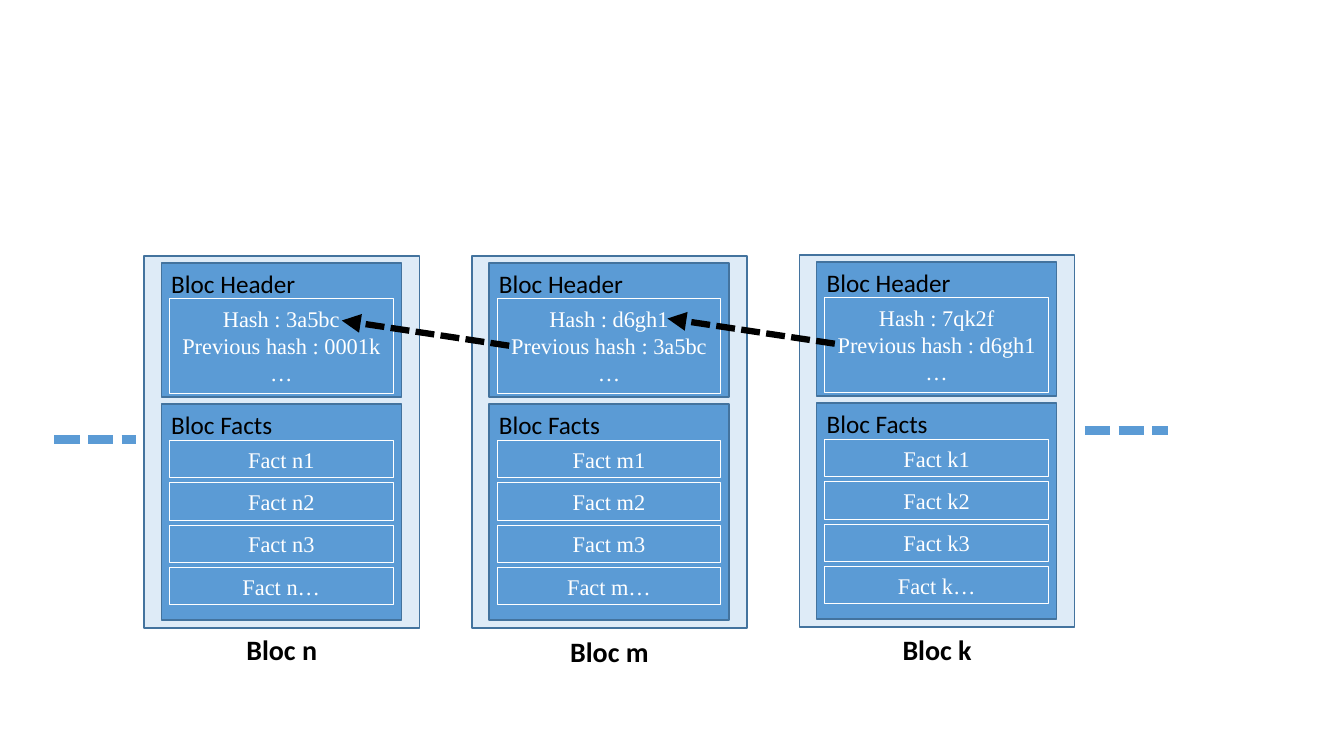
"""Build a slide of three chained blocks, each pointing to the hash of the one before."""
from pptx import Presentation
from pptx.dml.color import RGBColor
from pptx.enum.dml import MSO_LINE
from pptx.enum.shapes import MSO_CONNECTOR, MSO_SHAPE
from pptx.enum.text import MSO_ANCHOR, PP_ALIGN
from pptx.oxml.ns import qn
from pptx.util import Inches, Pt
from lxml.etree import SubElement

BLOCKS = [
    {"name": "n", "hash": "3a5bc", "previous": "0001k", "top": 2.54, "label_top": 6.23},
    {"name": "m", "hash": "d6gh1", "previous": "3a5bc", "top": 2.54, "label_top": 6.25},
    {"name": "k", "hash": "7qk2f", "previous": "d6gh1", "top": 2.53, "label_top": 6.23},
]
FACTS = ["1", "2", "3", "…"]

THEME = {
    "outer": {"fill": "DEEBF7", "line": "43739E", "weight": 1},
    "panel": {"fill": "5B9BD5", "line": "43739E", "weight": 1},
    "field": {"fill": None, "line": "FFFFFF", "weight": 0.75},
    "field_text": {"name": "Times New Roman", "size": Pt(16), "color": "FFFFFF"},
    "heading": {"name": "Calibri", "size": Pt(18), "color": "000000"},
    "label": {"name": "Calibri", "size": Pt(20), "bold": True, "color": "000000"},
    "chain": {"color": "5B9BD5", "weight": 6},
    "arrow": {"color": "000000", "weight": 4.5},
}

LEFT, PITCH = 1.43, 3.25
BLOCK_W, BLOCK_H = 2.73, 3.69
PANEL_X, PANEL_W = 0.17, 2.38
FIELD_X, FIELD_W = 0.25, 2.22
PANELS = [("Bloc Facts", 1.47, 2.14), ("Bloc Header", 0.07, 1.33)]
HASH_Y, HASH_H = 0.42, 0.94
FACT_Y, FACT_H, FACT_PITCH = 1.83, 0.37, 0.42
CHAINS = [((0.54, 4.36), (1.35, 4.36)), ((10.76, 4.27), (11.58, 4.27))]
ARROW_FROM, ARROW_TO = (5.05, 3.43), (3.39, 3.18)
ARROW_STEP = (3.23, -0.02)


def write(sp, lines, font, align, anchor):
    tf = sp.text_frame
    tf.word_wrap, tf.vertical_anchor = True, anchor
    for i, line in enumerate(lines):
        p = tf.paragraphs[0] if i == 0 else tf.add_paragraph()
        p.alignment = align
        r = p.add_run()
        r.text = line
        for key, value in font.items():
            if key == "color":
                r.font.color.rgb = RGBColor.from_string(value)
            else:
                setattr(r.font, key, value)


def add_box(s, at, style, lines=()):
    sp = s.shapes.add_shape(MSO_SHAPE.RECTANGLE, *map(Inches, at))
    sp.shadow.inherit = False
    if style["fill"]:
        sp.fill.solid()
        sp.fill.fore_color.rgb = RGBColor.from_string(style["fill"])
    else:
        sp.fill.background()
    sp.line.color.rgb = RGBColor.from_string(style["line"])
    sp.line.width = Pt(style["weight"])
    write(sp, lines, THEME["field_text"], PP_ALIGN.CENTER, MSO_ANCHOR.MIDDLE)


def add_text(s, at, text, font, align):
    sp = s.shapes.add_textbox(*map(Inches, at))
    write(sp, [text], font, align, MSO_ANCHOR.TOP)


def add_dots(s, start, end, style, arrow=False):
    sp = s.shapes.add_connector(MSO_CONNECTOR.STRAIGHT, *map(Inches, start + end))
    sp.line.color.rgb = RGBColor.from_string(style["color"])
    sp.line.width = Pt(style["weight"])
    sp.line.dash_style = MSO_LINE.SQUARE_DOT
    if arrow:
        SubElement(sp.line._get_or_add_ln(), qn("a:tailEnd"), type="triangle")
    SubElement(sp._element.spPr, qn("a:effectLst"))


def add_block(s, block, left):
    top, name = block["top"], block["name"]
    add_box(s, (left, top, BLOCK_W, BLOCK_H), THEME["outer"])
    for heading, y, height in PANELS:
        add_box(s, (left + PANEL_X, top + y, PANEL_W, height), THEME["panel"])
        add_text(s, (left + PANEL_X, top + y, PANEL_W, 0.4), heading,
                 THEME["heading"], PP_ALIGN.LEFT)
    add_box(s, (left + FIELD_X, top + HASH_Y, FIELD_W, HASH_H), THEME["field"],
            [f"Hash : {block['hash']}", f"Previous hash : {block['previous']}", "…"])
    for row, fact in enumerate(FACTS):
        y = top + FACT_Y + row * FACT_PITCH
        add_box(s, (left + FIELD_X, y, FIELD_W, FACT_H), THEME["field"],
                [f"Fact {name}{fact}"])
    add_text(s, (left, block["label_top"], BLOCK_W, 0.44), f"Bloc {name}",
             THEME["label"], PP_ALIGN.CENTER)


def main():
    prs = Presentation()
    prs.slide_width, prs.slide_height = Inches(13.33), Inches(7.5)
    s = prs.slides.add_slide(prs.slide_layouts[6])
    for i, block in enumerate(BLOCKS):
        add_block(s, block, LEFT + i * PITCH)
    for start, end in CHAINS:
        add_dots(s, start, end, THEME["chain"])
    for i in range(len(BLOCKS) - 1):
        start, end = (tuple(v + i * step for v, step in zip(point, ARROW_STEP))
                      for point in (ARROW_FROM, ARROW_TO))
        add_dots(s, start, end, THEME["arrow"], arrow=True)
    prs.save("out.pptx")


if __name__ == "__main__":
    main()
